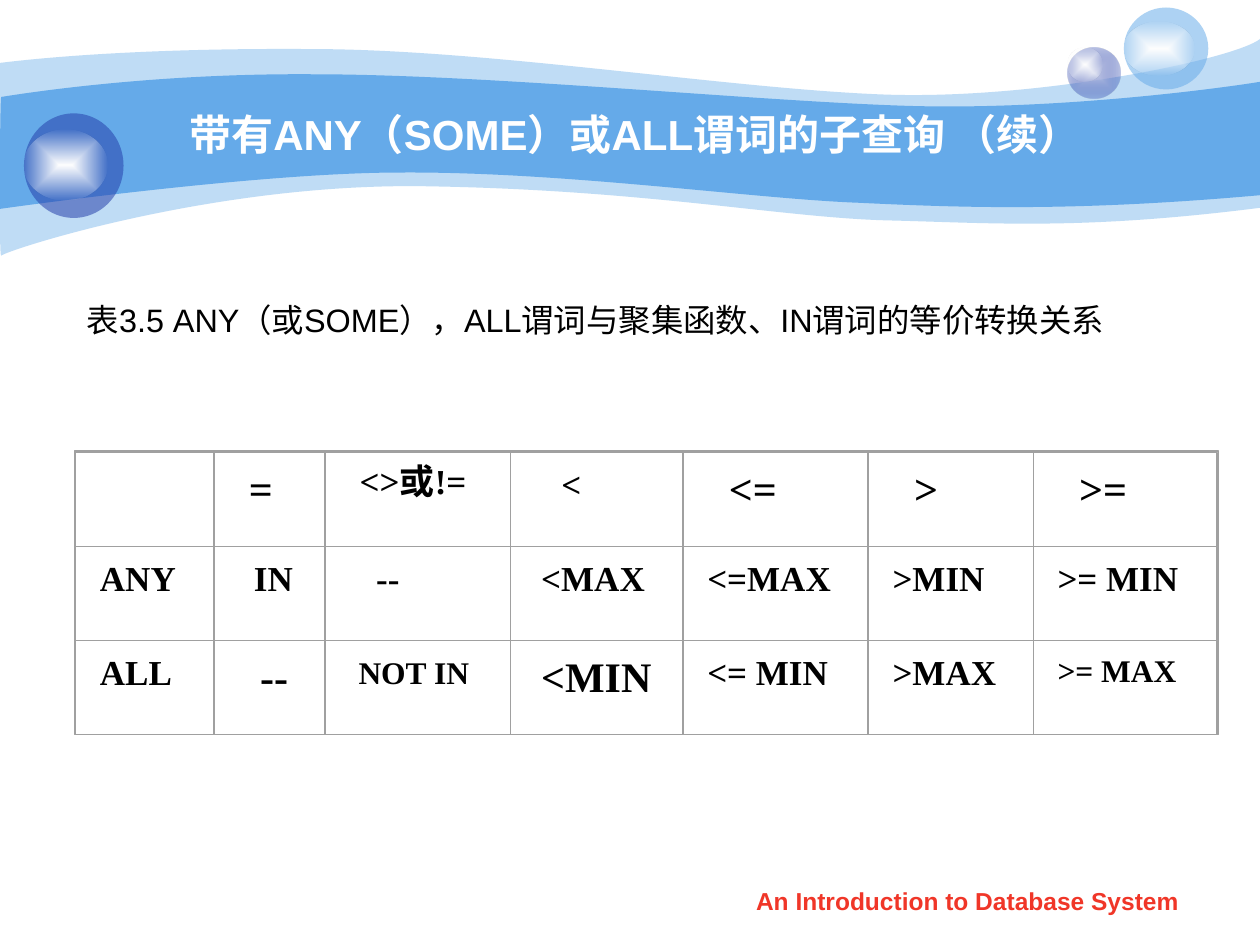
from dataclasses import dataclass
from itertools import accumulate

from pptx import Presentation
from pptx.dml.color import RGBColor
from pptx.enum.shapes import MSO_SHAPE as Shape
from pptx.enum.text import MSO_ANCHOR as Anchor, PP_ALIGN as Align
from pptx.oxml import parse_xml
from pptx.oxml.ns import nsdecls, qn
from pptx.util import Emu, Inches, Pt

WHITE = RGBColor(0xFF, 0xFF, 0xFF)
NEAR_WHITE = RGBColor(0xFE, 0xFE, 0xFE)
BLACK = RGBColor(0x00, 0x00, 0x00)
SKY = RGBColor(0x65, 0xAA, 0xE9)
NAVY = RGBColor(0x23, 0x3D, 0xA9)
LAVENDER = RGBColor(0xC6, 0xCC, 0xE8)
GREY = RGBColor(0xA0, 0xA0, 0xA0)
RED = RGBColor(0xF0, 0x36, 0x28)

SLIDE_W, SLIDE_H = Inches(10), Inches(7.5)
GRID_COLUMNS = 100  # square grid: 100 columns by 75 rows


@dataclass(frozen=True)
class Tint:
    color: RGBColor
    opacity: int = 100


@dataclass(frozen=True)
class Box:
    left: float
    top: float
    width: float
    height: float


@dataclass(frozen=True)
class Wave:
    start: tuple
    curves: tuple  # cubic curves (two controls and an end); a pair is a straight line
    tint: Tint


@dataclass(frozen=True)
class Ball:
    body: Box
    tints: tuple
    shine: Box


@dataclass(frozen=True)
class Entry:
    text: str
    size: int = 20
    indent: float = 0
    top: float = 0.8


@dataclass(frozen=True)
class Label:
    text: str
    box: Box
    size: float
    color: RGBColor = BLACK
    font: str = "Arial"
    bold: bool = True
    align: Align = Align.CENTER
    anchor: Anchor = Anchor.TOP
    space_before: int = 0
    indent: float = 0
    top: float = 0.5


WAVES = (
    Wave((0, 5), (
        (2.4, 4.7, 10.7, 3.8, 24.7, 3.9), (38.6, 3.9, 57.5, 7, 69.9, 7.5),
        (82.2, 8, 98, 4.7, 100, 3.1), (100, 16.5),
        (85.8, 18.3, 78.7, 17.7, 70.5, 17.5), (62.2, 17.3, 51.5, 15.1, 34.3, 14.8),
        (17.2, 14.4, 0.4, 19.9, 0.1, 20.3), (-0.1, 20.8, 0, 7.5, 0, 5)), Tint(SKY, 41)),
    Wave((0.1, 7.7), (
        (0.2, 7.7, 11, 5.8, 24.8, 5.9), (38.6, 5.9, 59.5, 8, 71.8, 8.4),
        (84.1, 8.8, 97.6, 6.9, 100, 6.5), (100, 15.5),
        (85.3, 16.8, 76.5, 16.5, 68.2, 16.1), (59.9, 15.8, 44.7, 13.6, 31.7, 13.7),
        (20.3, 13.7, -0.2, 16.6, -0.1, 16.6), (0, 16.6, 0, 7.7, 0.1, 7.7)), Tint(SKY)),
)

SHINE = (Tint(WHITE), Tint(NEAR_WHITE, 0))
BALLS = (
    Ball(Box(84.7, 3.8, 4.2, 4), (Tint(LAVENDER), Tint(NAVY, 31)), Box(84.7, 3.8, 2.8, 2.7)),
    Ball(Box(89.2, 0.6, 6.7, 6.5), (Tint(SKY, 53),), Box(89.2, 1.7, 5.6, 4.3)),
    Ball(Box(1.9, 9, 7.9, 8.3), (Tint(NAVY, 53),), Box(1.9, 10.3, 6.6, 5.6)),
)

LABELS = (
    Label("带有ANY（SOME）或ALL谓词的子查询 （续）", Box(10, 7.5, 80.8, 6.2), 24, WHITE,
          anchor=Anchor.MIDDLE),
    Label("表3.5 ANY（或SOME），ALL谓词与聚集函数、IN谓词的等价转换关系",
          Box(5.9, 23.3, 90, 6.1), 18.5, bold=False, align=Align.LEFT, space_before=5),
    Label("An Introduction to Database System", Box(57.1, 69.8, 39.4, 3.5), 14, RED),
)

TABLE_LEFT, TABLE_TOP, ROW_HEIGHT = 6, 35.9, 7.47
COLUMN_WIDTHS = (11, 8.8, 14.7, 13.7, 14.7, 13.1, 14.6)
TABLE_FRAME = Box(5.9, 35.8, 90.8, 22.5)
CELL_GAP = 0.95
TEXT_HEIGHTS = {18: 4, 20: 4.4, 24: 5}
PREDICATES = (
    (None, Entry("=", 24, 0.8), Entry("<>或!=", 20, 0.8, 0.6), Entry("<", 20, 2.1),
     Entry("<=", 24, 1.7), Entry(">", 24, 1.7), Entry(">=", 24, 1.7)),
    (Entry("ANY"), Entry("IN", indent=1.2), Entry("--", indent=2.1), Entry("<MAX", indent=0.5),
     Entry("<=MAX"), Entry(">MIN"), Entry(">= MIN")),
    (Entry("ALL"), Entry("--", 24, 1.7), Entry("NOT IN", 18, 0.7, 1), Entry("<MIN", 24, 0.5),
     Entry("<= MIN"), Entry(">MAX"), Entry(">= MAX", 18)),
)


def grid(units: float) -> Emu:
    return Emu(round(SLIDE_W * units / GRID_COLUMNS))


def place(box: Box) -> tuple:
    return grid(box.left), grid(box.top), grid(box.width), grid(box.height)


def color_xml(tint: Tint) -> str:
    return f'<a:srgbClr val="{tint.color}"><a:alpha val="{tint.opacity * 1000}"/></a:srgbClr>'


def paint(shape, tints: tuple) -> None:
    """Fill with one tint, or with a gradient from the centre outwards."""
    shape.shadow.inherit = False
    shape.line.fill.background()
    shape.fill.background()
    if len(tints) == 1:
        fill = f'<a:solidFill {nsdecls("a")}>{color_xml(tints[0])}</a:solidFill>'
    else:
        stops = "".join(f'<a:gs pos="{pos}">{color_xml(tint)}</a:gs>'
                        for pos, tint in zip((0, 100000), tints))
        fill = (f'<a:gradFill {nsdecls("a")}><a:gsLst>{stops}</a:gsLst><a:path path="rect">'
                '<a:fillToRect l="50000" t="50000" r="50000" b="50000"/></a:path></a:gradFill>')
    properties = shape.element.spPr
    properties.replace(properties.find(qn("a:noFill")), parse_xml(fill))


def draw_wave(shapes, wave: Wave) -> None:
    """Lay out the control polygon, then turn each three of its sides into a curve."""
    corners = [(grid(x), grid(y)) for curve in wave.curves
               for x, y in zip(curve[::2], curve[1::2])]
    builder = shapes.build_freeform(*(grid(n) for n in wave.start))
    builder.add_line_segments(corners, close=True)
    shape = builder.convert_to_shape()
    sides = iter(list(shape.element.iter(qn("a:lnTo"))))
    for curve in wave.curves:
        if len(curve) == 2:
            next(sides)
            continue
        bezier = parse_xml(f'<a:cubicBezTo {nsdecls("a")}/>')
        first, *others = (next(sides) for _ in range(3))
        first.addprevious(bezier)
        for side in (first, *others):
            bezier.append(side[0])
            side.getparent().remove(side)
    paint(shape, (wave.tint,))


def draw_ball(shapes, ball: Ball) -> None:
    for box, tints in ((ball.body, ball.tints), (ball.shine, SHINE)):
        paint(shapes.add_shape(Shape.OVAL, *place(box)), tints)


def draw_label(shapes, label: Label) -> None:
    frame = shapes.add_textbox(*place(label.box)).text_frame
    frame.word_wrap = True
    frame.vertical_anchor = label.anchor
    frame.margin_left = grid(1 + label.indent)
    frame.margin_top = grid(label.top)
    line = frame.paragraphs[0]
    line.text = label.text
    line.alignment = label.align
    line.space_before = Pt(label.space_before)
    font = line.font
    font.name, font.size, font.bold = label.font, Pt(label.size), label.bold
    font.color.rgb = label.color


def draw_border(shapes, box: Box, width: float) -> None:
    border = shapes.add_shape(Shape.RECTANGLE, *place(box))
    border.shadow.inherit = False
    border.fill.background()
    border.line.color.rgb = GREY
    border.line.width = Pt(width)


def draw_table(shapes) -> None:
    lefts = accumulate(COLUMN_WIDTHS[:-1], initial=TABLE_LEFT)
    columns = list(zip(lefts, COLUMN_WIDTHS))
    for row, entries in enumerate(PREDICATES):
        top = TABLE_TOP + row * ROW_HEIGHT
        for (left, width), entry in zip(columns, entries):
            if entry:
                box = Box(left + CELL_GAP, top, width - 2 * CELL_GAP, TEXT_HEIGHTS[entry.size])
                draw_label(shapes, Label(entry.text, box, entry.size, font="Times New Roman",
                                         align=Align.LEFT, indent=entry.indent, top=entry.top))
            draw_border(shapes, Box(left, top, width, ROW_HEIGHT), 0)
    draw_border(shapes, TABLE_FRAME, 0.88)


def main() -> None:
    deck = Presentation()
    deck.slide_width, deck.slide_height = SLIDE_W, SLIDE_H
    shapes = deck.slides.add_slide(deck.slide_layouts[6]).shapes
    # Banner
    for wave in WAVES:
        draw_wave(shapes, wave)
    for ball in BALLS:
        draw_ball(shapes.add_group_shape().shapes, ball)
    # Title, caption and footer
    for label in LABELS:
        draw_label(shapes, label)
    # Equivalence table, ruled cell by cell
    draw_table(shapes.add_group_shape().shapes)
    deck.save("out.pptx")


if __name__ == "__main__":
    main()
